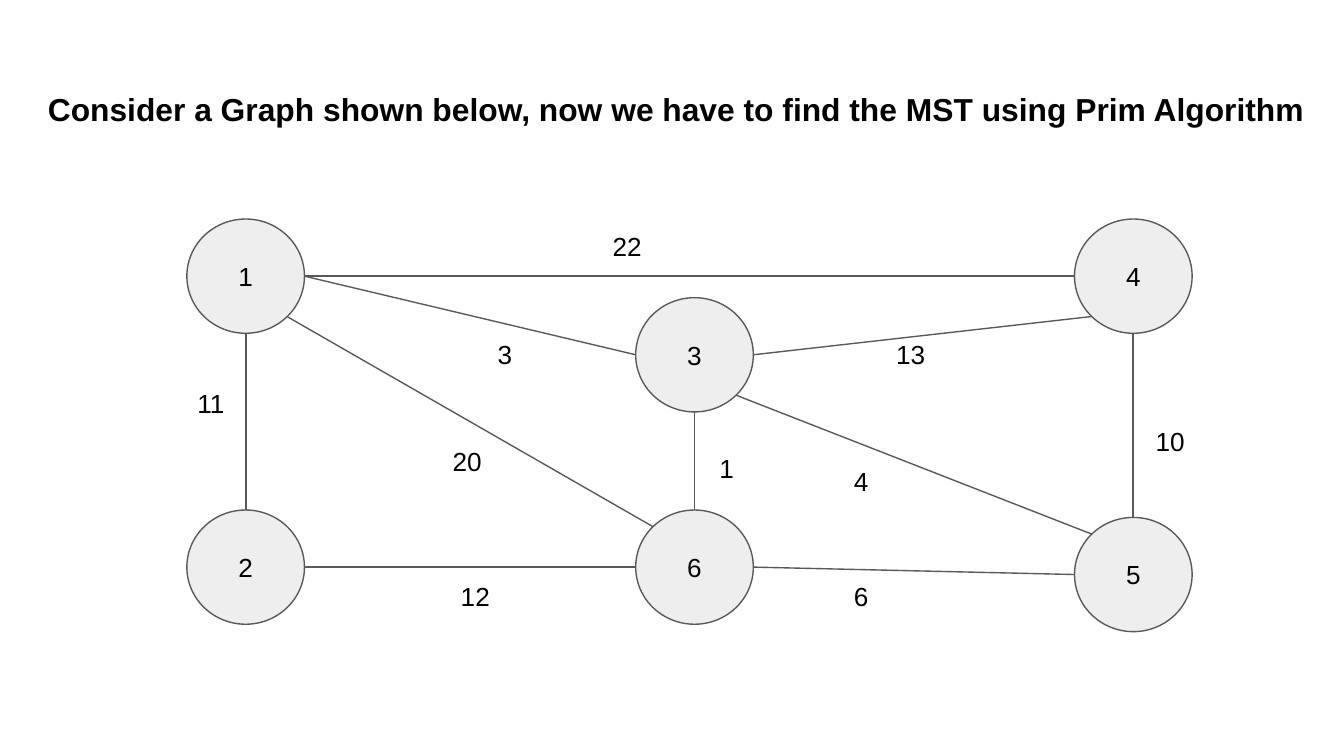
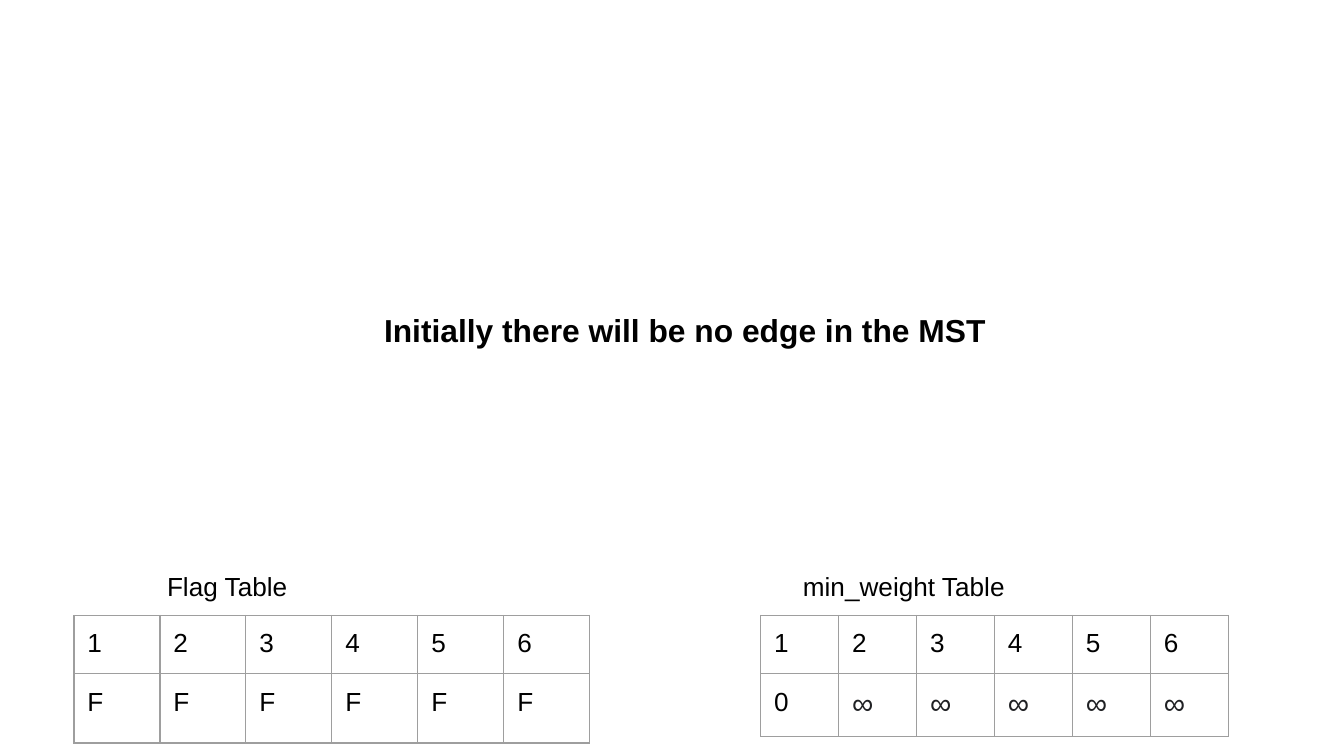
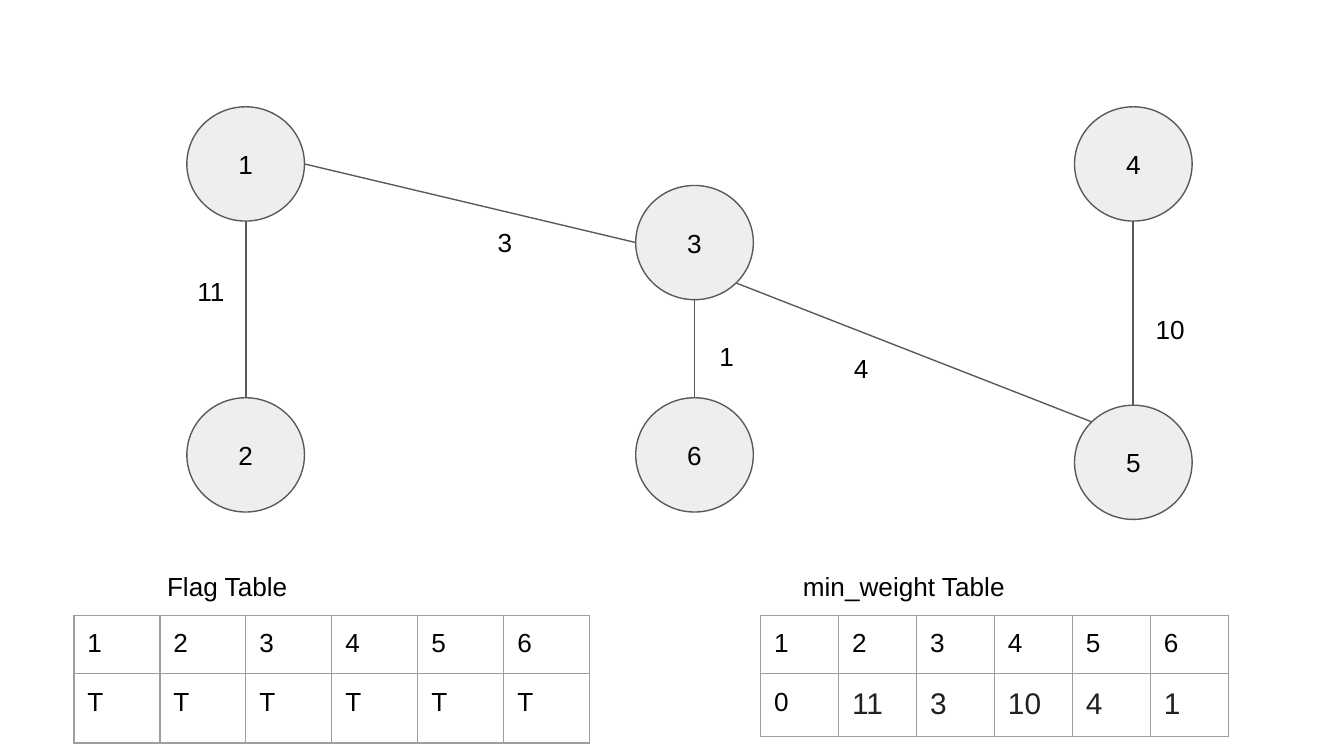
import dataclasses
import math
from typing import Any

import lxml.etree
import pptx
import pptx.dml.color
import pptx.enum.shapes
import pptx.enum.text
import pptx.oxml.ns
import pptx.util

PX = 4572
SLIDE_W, SLIDE_H = 2000, 1125
FONT = "Arial"
BLACK, INK, NODE_FILL, EDGE_LINE, GRID_LINE = "000000", "202124", "EEEEEE", "595959", "9E9E9E"
LINE_PT = 0.75
NODE_W, NODE_H = 175, 170
LABEL_W, LABEL_H = 92, 88
TITLE_W, TITLE_H = 1986, 98
TREE_SHIFT = -167
DIAG = math.sqrt(0.5)
SITES = {"top": (0, -1), "left": (-1, 0), "bottom": (0, 1), "right": (1, 0),
         "top_left": (-DIAG, -DIAG), "bottom_left": (-DIAG, DIAG), "bottom_right": (DIAG, DIAG)}

BODY = {"name": FONT, "size": pptx.util.Pt(14), "bold": False}
TITLE = BODY | {"size": pptx.util.Pt(17), "bold": True}
WEIGHT = BODY | {"size": pptx.util.Pt(16)}
INSETS = {f"margin_{side}": 20 * PX for side in ("left", "top", "right", "bottom")}
BOX = INSETS | {"word_wrap": True, "auto_size": pptx.enum.text.MSO_AUTO_SIZE.SHAPE_TO_FIT_TEXT}
DISC = INSETS | {"word_wrap": True, "vertical_anchor": pptx.enum.text.MSO_ANCHOR.MIDDLE}
PLAIN_TABLE = {"first_row": False, "horz_banding": False}
LEFT, CENTER = pptx.enum.text.PP_ALIGN.LEFT, pptx.enum.text.PP_ALIGN.CENTER


@dataclasses.dataclass(frozen=True)
class Node:
    name: str
    x: int
    y: int

    def site(self, side: str) -> tuple[int, int]:
        dx, dy = SITES[side]
        return (round(self.x + NODE_W / 2 * (1 + dx)), round(self.y + NODE_H / 2 * (1 + dy)))


@dataclasses.dataclass(frozen=True)
class Edge:
    start: str
    start_side: str
    end: str
    end_side: str
    weight: int
    label_x: int
    label_y: int
    in_tree: bool


@dataclasses.dataclass(frozen=True)
class Grid:
    caption: str
    caption_x: int
    caption_w: int
    x: int
    col_w: int
    row_heights: tuple[int, int]
    value_format: dict[str, Any]
    value_color: str


NODES = [
    Node("1", 278, 326), Node("2", 278, 759), Node("6", 946, 759),
    Node("5", 1599, 770), Node("4", 1599, 326), Node("3", 946, 443),
]
EDGES = [
    Edge("1", "right", "3", "left", 3, 721, 484, True),
    Edge("1", "bottom", "2", "top", 11, 274, 557, True),
    Edge("3", "bottom_right", "5", "top_left", 4, 1251, 672, True),
    Edge("3", "bottom", "6", "top", 1, 1051, 653, True),
    Edge("2", "right", "6", "left", 12, 666, 844, False),
    Edge("4", "bottom", "5", "top", 10, 1700, 613, True),
    Edge("6", "right", "5", "left", 6, 1251, 844, False),
    Edge("1", "right", "4", "left", 22, 892, 323, False),
    Edge("1", "bottom_right", "6", "top_left", 20, 654, 643, False),
    Edge("3", "right", "4", "bottom_left", 13, 1314, 484, False),
]
GRID_Y, CAPTION_Y = 916, 829
FLAG = Grid("Flag Table", 229, 446, 110, 128, (66, 103), BODY, BLACK)
MIN_WEIGHT = Grid("min_weight Table", 1175, 536, 1132, 116, (84, 84), WEIGHT, INK)


def color(value: str) -> pptx.dml.color.RGBColor:
    return pptx.dml.color.RGBColor.from_string(value)


def apply(target: Any, values: dict[str, Any]) -> None:
    for name, value in values.items():
        setattr(target, name, value)


def write(tf: Any, text: str, font: dict[str, Any], ink: str = BLACK, align: Any = LEFT) -> None:
    p = tf.paragraphs[0]
    p.alignment = align
    r = p.add_run()
    r.text = text
    apply(r.font, font)
    r.font.color.rgb = color(ink)


def stroke(sp: Any) -> None:
    sp.line.color.rgb = color(EDGE_LINE)
    sp.line.width = pptx.util.Pt(LINE_PT)


def add_text(slide: Any, text: str, x: int, y: int, w: int, h: int,
             font: dict[str, Any] = BODY, align: Any = LEFT) -> None:
    sp = slide.shapes.add_textbox(x * PX, y * PX, w * PX, h * PX)
    apply(sp.text_frame, BOX)
    write(sp.text_frame, text, font, align=align)


def add_title(slide: Any, text: str, x: int, y: int) -> None:
    add_text(slide, text, x, y, TITLE_W, TITLE_H, TITLE, CENTER)


def add_node(slide: Any, node: Node) -> None:
    sp = slide.shapes.add_shape(pptx.enum.shapes.MSO_SHAPE.OVAL, node.x * PX, node.y * PX,
                                NODE_W * PX, NODE_H * PX)
    sp.shadow.inherit = False
    sp.fill.solid()
    sp.fill.fore_color.rgb = color(NODE_FILL)
    stroke(sp)
    apply(sp.text_frame, DISC)
    write(sp.text_frame, node.name, BODY, align=CENTER)


def add_edge(slide: Any, start: tuple[int, int], end: tuple[int, int]) -> None:
    sp = slide.shapes.add_connector(pptx.enum.shapes.MSO_CONNECTOR.STRAIGHT,
                                    *(v * PX for v in start + end))
    stroke(sp)
    lxml.etree.SubElement(sp._element.spPr, pptx.oxml.ns.qn("a:effectLst"))


def add_graph(slide: Any, edges: list[Edge], shift: int = 0) -> None:
    nodes = {n.name: dataclasses.replace(n, y=n.y + shift) for n in NODES}
    for node in nodes.values():
        add_node(slide, node)
    for e in edges:
        add_edge(slide, nodes[e.start].site(e.start_side), nodes[e.end].site(e.end_side))
    for e in edges:
        add_text(slide, str(e.weight), e.label_x, e.label_y + shift, LABEL_W, LABEL_H)


def add_borders(cell: Any) -> None:
    qn = pptx.oxml.ns.qn
    props = cell._tc.get_or_add_tcPr()
    for i, side in enumerate("LRTB"):
        ln = lxml.etree.Element(qn(f"a:ln{side}"), w=str(pptx.util.Pt(LINE_PT)))
        fill = lxml.etree.SubElement(ln, qn("a:solidFill"))
        lxml.etree.SubElement(fill, qn("a:srgbClr"), val=GRID_LINE)
        props.insert(i, ln)


def add_grid(slide: Any, grid: Grid, values: list[str]) -> None:
    rows = [[n.name for n in sorted(NODES, key=lambda n: n.name)], values]
    table = slide.shapes.add_table(len(rows), len(values), grid.x * PX, GRID_Y * PX,
                                   grid.col_w * len(values) * PX,
                                   sum(grid.row_heights) * PX).table
    apply(table, PLAIN_TABLE)
    for row, height in zip(table.rows, grid.row_heights):
        row.height = height * PX
    for col in table.columns:
        col.width = grid.col_w * PX
    for i, row_values in enumerate(rows):
        for j, text in enumerate(row_values):
            cell = table.cell(i, j)
            apply(cell, INSETS)
            cell.fill.background()
            add_borders(cell)
            if i and j:
                write(cell.text_frame, text, grid.value_format, grid.value_color)
            else:
                write(cell.text_frame, text, BODY)


def add_state(slide: Any, flags: list[str], weights: list[str]) -> None:
    add_grid(slide, FLAG, flags)
    add_grid(slide, MIN_WEIGHT, weights)
    for grid in (FLAG, MIN_WEIGHT):
        add_text(slide, grid.caption, grid.caption_x, CAPTION_Y, grid.caption_w, LABEL_H)


def main() -> None:
    prs = pptx.Presentation()
    apply(prs, {"slide_width": SLIDE_W * PX, "slide_height": SLIDE_H * PX})
    question, initial, result = (prs.slides.add_slide(prs.slide_layouts[6]) for _ in range(3))

    add_graph(question, EDGES)
    add_title(question, "Consider a Graph shown below, now we have to find the MST using Prim Algorithm", 14, 114)

    add_title(initial, "Initially there will be no edge in the MST", 27, 442)
    add_state(initial, ["F"] * 6, ["0"] + ["∞"] * 5)

    add_graph(result, [e for e in EDGES if e.in_tree], TREE_SHIFT)
    add_state(result, ["T"] * 6, ["0", "11", "3", "10", "4", "1"])

    prs.save("out.pptx")


if __name__ == "__main__":
    main()
